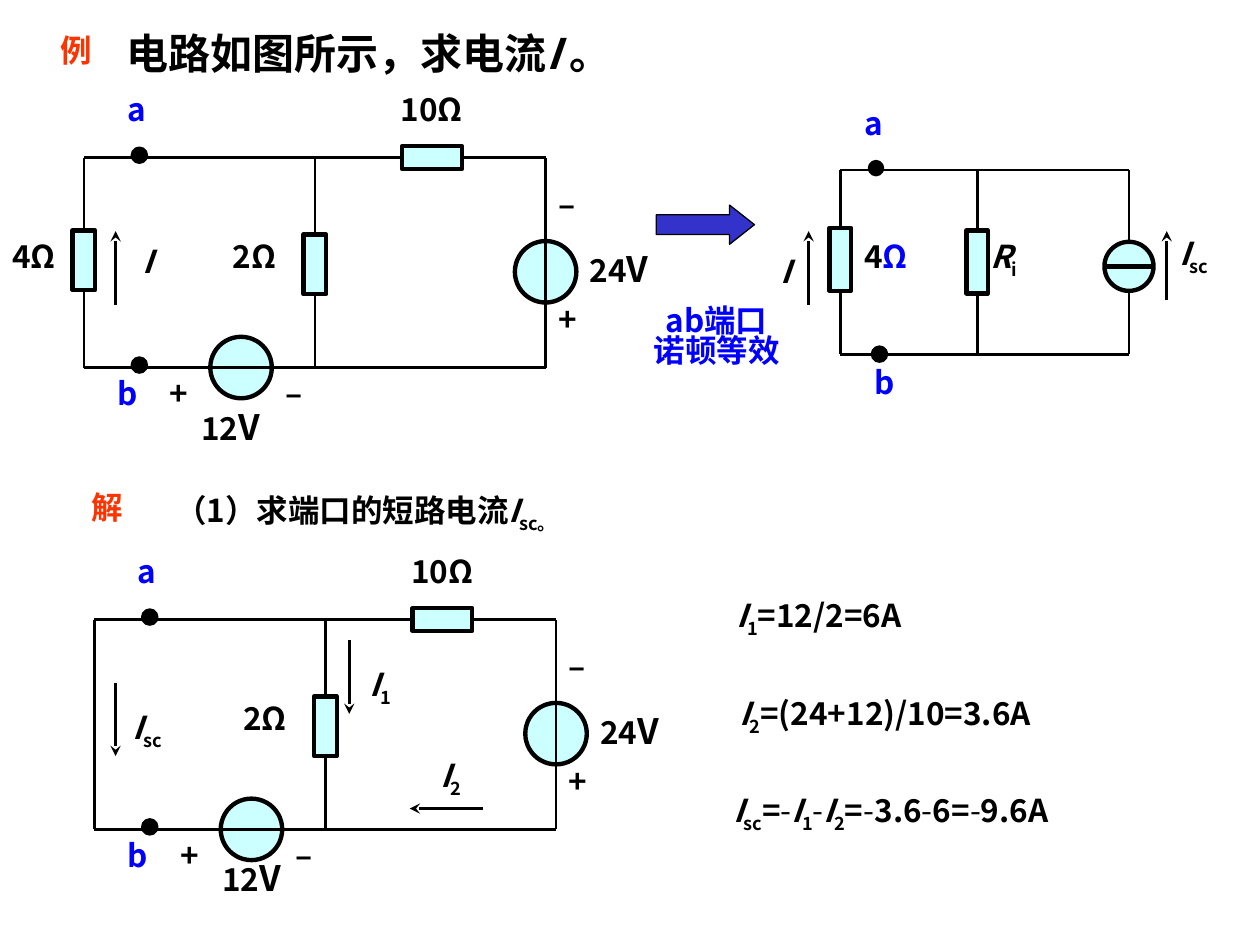
from lxml import etree
from pptx import Presentation
from pptx.dml.color import RGBColor
from pptx.enum import shapes as sh, text as tx
from pptx.oxml.ns import qn
from pptx.util import Cm, Pt

FONT = "Noto Sans CJK SC"
BLACK, BLUE, RED, CYAN = "000000", "0000FF", "FF3300", "CCFFFF"
THIN, THICK = 1.5, 2.5
TALL = (0.46, 1.2)
WIDE = TALL[::-1]


def rgb(code):
    return RGBColor.from_string(code)


def write(par, runs, color=BLACK, size=18, align=tx.PP_ALIGN.LEFT):
    """Fill a paragraph; a run is text or (text, flags).

    Flags: i italic, s subscript, n not bold, l larger, u blue.
    """
    par.alignment = align
    par.space_before = Pt(0)
    font = par.font
    font.name, font.size, font.bold = FONT, Pt(size), True
    font.color.rgb = rgb(color)
    base = par._p.pPr.find(qn("a:defRPr"))
    etree.SubElement(base, qn("a:ea")).set("typeface", FONT)
    for item in runs:
        words, flags = (item, "") if isinstance(item, str) else item
        run = par.add_run()
        run.text = words
        if "i" in flags:
            run.font.italic = True
        if "n" in flags:
            run.font.bold = False
        if "l" in flags:
            run.font.size = Pt(20)
        if "u" in flags:
            run.font.color.rgb = rgb(BLUE)
        if "s" in flags:
            run.font._element.set("baseline", "-25000")


def label(slide, x, y, w, runs, color=BLACK, mid=False):
    """Place one line of text; mid centres it both ways in its box."""
    box = slide.shapes.add_textbox(Cm(x), Cm(y), Cm(w), Cm(1.27))
    frame = box.text_frame
    frame.word_wrap = True
    if mid:
        frame.vertical_anchor = tx.MSO_ANCHOR.MIDDLE
    align = tx.PP_ALIGN.CENTER if mid else tx.PP_ALIGN.LEFT
    write(frame.paragraphs[0], runs, color, align=align)


def line(slide, start, end, width=THIN, arrow=False):
    wire = slide.shapes.add_connector(
        sh.MSO_CONNECTOR.STRAIGHT, *map(Cm, start + end))
    wire.line.color.rgb = rgb(BLACK)
    wire.line.width = Pt(width)
    if arrow:
        tip = etree.SubElement(wire.line._get_or_add_ln(), qn("a:tailEnd"))
        tip.set("type", "stealth")
    etree.SubElement(wire._element.spPr, qn("a:effectLst"))


def solid(slide, kind, x, y, w, h, fill=CYAN, width=THICK):
    """Draw a filled shape centred on x, y."""
    part = slide.shapes.add_shape(
        kind, Cm(x - w / 2), Cm(y - h / 2), Cm(w), Cm(h))
    part.shadow.inherit = False
    part.fill.solid()
    part.fill.fore_color.rgb = rgb(fill)
    part.line.color.rgb = rgb(BLACK)
    part.line.width = Pt(width)
    return part


def ohm(slide, x, y, size=TALL):
    solid(slide, sh.MSO_SHAPE.RECTANGLE, x, y, *size)


def ring(slide, x, y, d=1.24):
    solid(slide, sh.MSO_SHAPE.OVAL, x, y, d, d)


def dot(slide, x, y, d=0.3):
    solid(slide, sh.MSO_SHAPE.OVAL, x, y, d, d, BLACK, THIN)


def mesh(slide, x, y, mid, w, h):
    """Draw the wires of two loops side by side."""
    for dy in (0, h):
        line(slide, (x, y + dy), (x + w, y + dy))
    for dx in (0, mid, w):
        line(slide, (x + dx, y), (x + dx, y + h))


def loops(slide, x, y):
    """Draw the two-source circuit with its top left corner at x, y."""
    ring(slide, x + 3.17, y + 4.23)
    ring(slide, x + 9.31, y + 2.3)
    mesh(slide, x, y, 4.66, 9.31, 4.23)
    ohm(slide, x + 4.66, y + 2.15)
    ohm(slide, x + 7.02, y, WIDE)
    for dy in (-0.05, 4.18):
        dot(slide, x + 1.12, y + dy)
    marks = [
        (2.75, 1.48, 1.7, ["2Ω"], BLACK),
        (6.14, -1.48, 2.1, ["10Ω"], BLACK),
        (9.31, 2.75, 0.85, ["+"], BLACK),
        (9.31, 0.42, 1.05, ["–"], BLACK),
        (9.95, 1.69, 1.9, ["24", ("V", "l")], BLACK),
        (0.63, -1.48, 1.05, ["a"], BLUE),
        (0.42, 4.23, 0.85, ["b"], BLUE),
        (1.48, 4.23, 0.85, ["+"], BLACK),
        (3.81, 4.23, 1.05, ["–"], BLACK),
    ]
    for dx, dy, w, runs, color in marks:
        label(slide, x + dx, y + dy, w, runs, color)


def norton(slide, x, y):
    """Draw the equivalent circuit with its top left corner at x, y."""
    mesh(slide, x, y, 2.76, 5.82, 3.71)
    ohm(slide, x, y + 1.8, (0.43, 1.27))
    ohm(slide, x + 2.76, y + 1.85, (0.43, 1.27))
    ring(slide, x + 5.82, y + 1.94, 0.99)
    line(slide, (x + 5.32, y + 1.94), (x + 6.32, y + 1.94), THICK)
    dot(slide, x + 0.72, y - 0.04, 0.28)
    dot(slide, x + 0.79, y + 3.71)
    label(slide, 17.17, 4.66, 1.7, ["4", ("Ω", "u")])
    label(slide, 17.17, 1.98, 1.27, ["a"], BLUE)
    label(slide, 17.37, 7.2, 1.05, ["b"], BLUE)
    label(slide, 19.71, 4.66, 2, [("R", "i"), ("i", "s")])
    label(slide, 23.52, 4.6, 1.85, [("I", "i"), ("sc", "s")])
    label(slide, 15.32, 4.83, 1.02, [("I", "i")], mid=True)


def step(slide):
    """Draw the block arrow and its two-line caption."""
    block = solid(slide, sh.MSO_SHAPE.RIGHT_ARROW,
                  14.22, 4.53, 1.98, 0.79, "3333CC", 0.75)
    block.adjustments[0], block.adjustments[1] = 0.5, 0.635
    box = slide.shapes.add_textbox(Cm(12.5), Cm(6.27), Cm(3.89), Cm(1.78))
    frame = box.text_frame
    frame.word_wrap = True
    for i, words in enumerate(("ab端口", "诺顿等效")):
        par = frame.add_paragraph() if i else frame.paragraphs[0]
        write(par, [words], BLUE, align=tx.PP_ALIGN.CENTER)
        par.line_spacing = 0.5
        if i:
            par.space_before = Pt(6.5)


def head(slide):
    title = slide.shapes.title
    title.left, title.top, title.width, title.height = map(
        Cm, (2.29, 0.43, 11.5, 1.27))
    frame = title.text_frame
    frame.word_wrap = True
    frame.vertical_anchor = tx.MSO_ANCHOR.MIDDLE
    write(frame.paragraphs[0], ["电路如图所示，求电流", ("I ", "i"), "。"], size=24)


def main():
    deck = Presentation()
    deck.slide_width, deck.slide_height = Cm(25.4), Cm(19.05)
    slide = deck.slides.add_slide(deck.slide_layouts[5])
    head(slide)
    label(slide, 0.05, 0.38, 2.97, ["例"], RED, mid=True)
    label(slide, 0.68, 9.58, 2.97, ["解"], RED, mid=True)

    loops(slide, 1.69, 3.18)
    ohm(slide, 1.69, 5.25)
    label(slide, 0, 4.66, 1.7, ["4Ω"])
    label(slide, 2.49, 4.62, 0.98, [("I", "i")], mid=True)

    norton(slide, 16.94, 3.43)
    step(slide)

    loops(slide, 1.9, 12.49)
    for x, y, low in ((2.31, 14.07, "sc"), (7.01, 13.21, "1"),
                      (8.43, 15.04, "2")):
        label(slide, x, y, 1.32, [("I", "i"), (low, "s")], mid=True)
    for x, y in ((3.81, 8.05), (4.23, 17.15)):
        label(slide, x, y, 2.1, ["12", ("V", "l")])

    arrows = [
        ((2.33, 6.14), (2.33, 4.66)),
        ((16.3, 6.14), (16.3, 4.66)),
        ((23.52, 6.05), (23.52, 4.66)),
        ((2.33, 13.76), (2.33, 15.24)),
        ((7.04, 12.9), (7.04, 14.39)),
        ((9.74, 16.3), (8.26, 16.3)),
    ]
    for start, end in arrows:
        line(slide, start, end, arrow=True)

    cur, minus = ("I", "i"), ("-", "n")
    one, two, short = ("1", "s"), ("2", "s"), ("sc", "s")
    label(slide, 3.28, 9.78, 10, ["（1）求端口的短路电流", cur, ("sc。", "s")])
    label(slide, 14.6, 11.89, 5.1, [cur, one, "=12/2=6A"])
    label(slide, 14.65, 13.87, 7.8, [cur, two, "=(24+12)/10=3.6A"])
    label(slide, 14.53, 15.82, 9.25,
          [cur, short, "=", minus, cur, one, minus, cur, two, "=",
           minus, "3.6", minus, "6=", minus, "9.6A"])
    deck.save("out.pptx")


if __name__ == "__main__":
    main()
